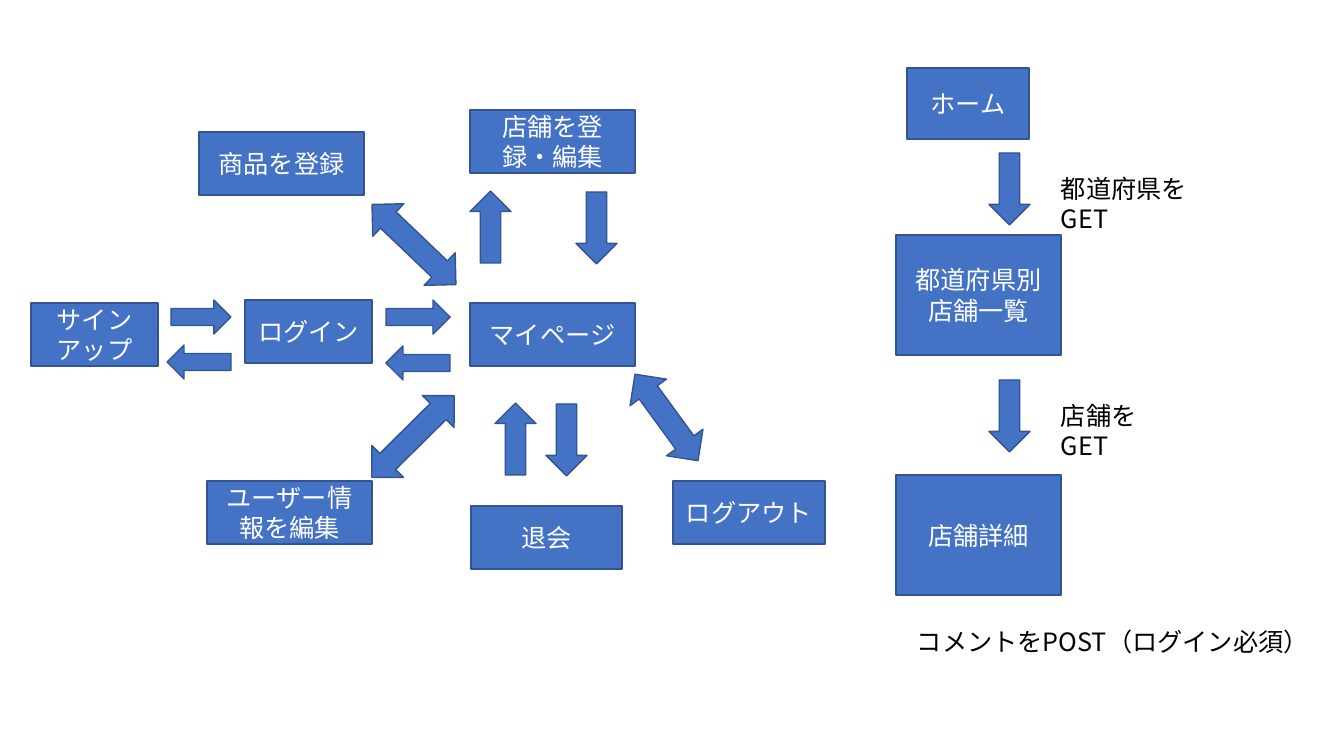
from pptx import Presentation
from pptx.dml.color import RGBColor as RGB
from pptx.enum.shapes import MSO_SHAPE as MS
from pptx.enum.text import MSO_ANCHOR as VA, PP_ALIGN as AL
from pptx.oxml.ns import qn
from pptx.util import Pt
from lxml.etree import SubElement as Sub

SCALE = 914400 / 100.8
FONT = "Noto Sans CJK JP"
HUE = {"fill": "4472C4", "line": "325491", "light": "FFFFFF", "dark": "000000"}

deck = Presentation()
deck.slide_width, deck.slide_height = [round(n * SCALE) for n in (1344, 756)]
slide = deck.slides.add_slide(deck.slide_layouts[6])


def draw(kind, spot, turn=0):
    item = slide.shapes.add_shape(kind, *[round(n * SCALE) for n in spot])
    item.shadow.inherit = False
    item.fill.solid()
    item.fill.fore_color.rgb = RGB.from_string(HUE["fill"])
    item.line.color.rgb = RGB.from_string(HUE["line"])
    item.line.width = Pt(1)
    item.rotation = turn
    return item


def write(frame, text, hue, align):
    frame.word_wrap = True
    para = frame.paragraphs[0]
    para.alignment = align
    run = para.add_run()
    run.text = text
    run.font.size = Pt(18)
    run.font.name = FONT
    run.font.color.rgb = RGB.from_string(HUE[hue])
    Sub(run._r.get_or_add_rPr(), qn("a:ea"), typeface=FONT)


boxes = [
    ("ホーム", 907, 68, 122, 71),
    ("都道府県別店舗一覧", 896, 235, 165, 120),
    ("店舗詳細", 896, 475, 165, 120),
    ("サインアップ", 31, 303, 127, 63),
    ("ログイン", 245, 300, 127, 63),
    ("マイページ", 470, 303, 165, 63),
    ("商品を登録", 199, 132, 165, 63),
    ("店舗を登録・編集", 470, 110, 165, 63),
    ("ユーザー情報を編集", 207, 481, 165, 63),
    ("退会", 471, 506, 151, 63),
    ("ログアウト", 673, 481, 152, 63),
]
for text, *spot in boxes:
    box = draw(MS.RECTANGLE, spot)
    box.text_frame.vertical_anchor = VA.MIDDLE
    write(box.text_frame, text, "light", AL.CENTER)

downs = [(989, 153, 0), (989, 380, 0), (495, 403, 180),
         (470, 191, 180), (576, 192, 0), (546, 404, 0)]
for x, y, turn in downs:
    draw(MS.DOWN_ARROW, (x, y, 41, 72), turn)

sides = [(386, 300, 64, 0), (171, 300, 60, 0), (386, 346, 64, 180), (167, 345, 64, 180)]
for x, y, wide, turn in sides:
    draw(MS.RIGHT_ARROW, (x, y, wide, 34), turn)

pairs = [(355, 414, 116, 315.3), (356, 222, 116, 223.7), (613, 395, 107, 53.9)]
for x, y, wide, turn in pairs:
    draw(MS.LEFT_RIGHT_ARROW, (x, y, wide, 45), turn)

notes = [
    ("都道府県をGET", 1051, 168, 198, 38),
    ("店舗をGET", 1051, 395, 147, 38),
    ("コメントをPOST（ログイン必須）", 907, 621, 431, 0),
]
for text, x, y, wide, pad in notes:
    note = slide.shapes.add_textbox(*[round(n * SCALE) for n in (x, y, wide, 40)])
    note.text_frame.margin_right = round(pad * SCALE)
    write(note.text_frame, text, "dark", AL.LEFT)

deck.save("out.pptx")
